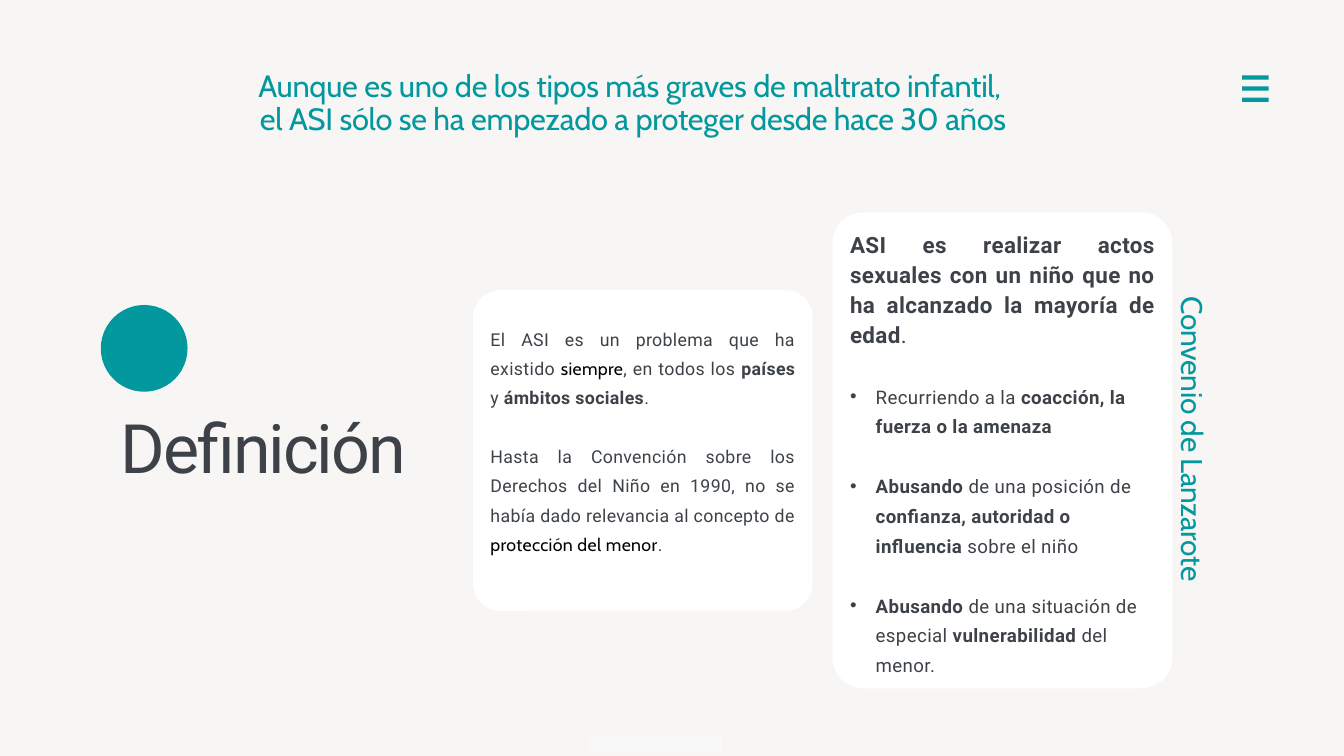
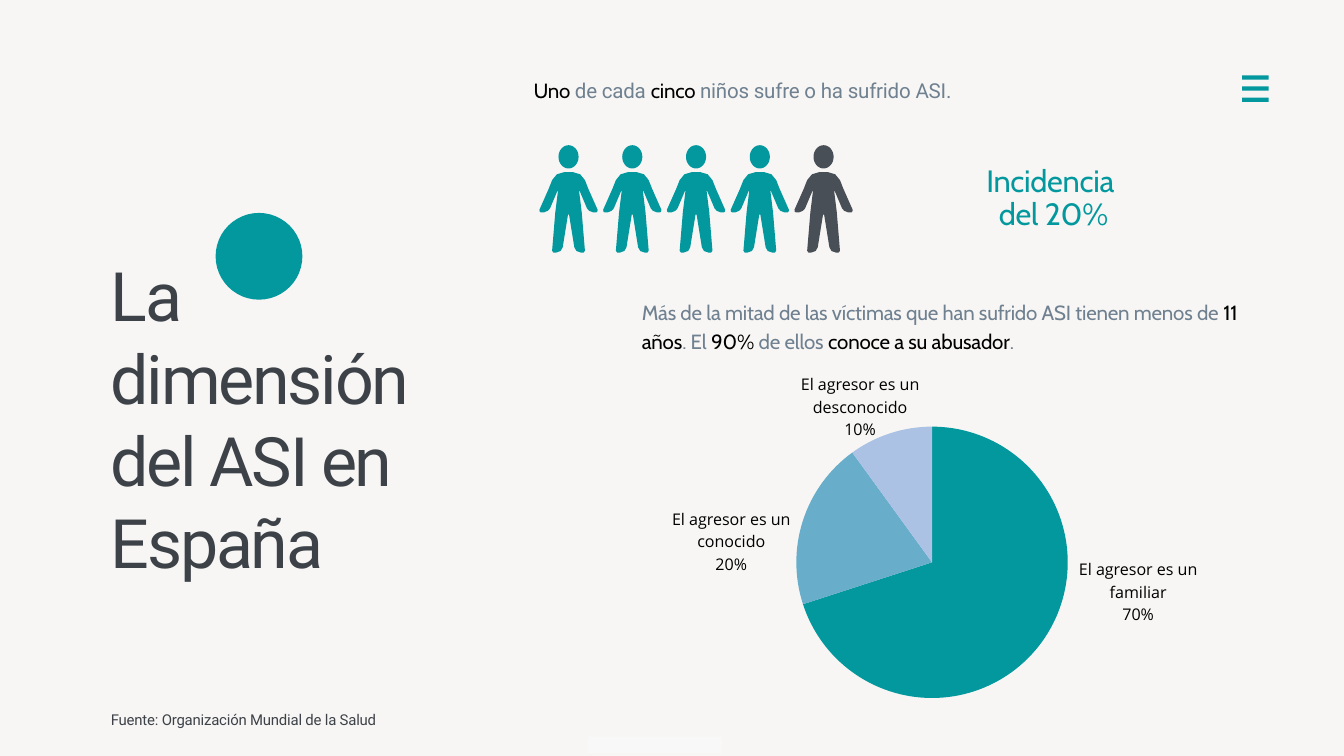
import dataclasses
import math
import typing

import lxml.etree
import pptx
import pptx.chart.data
import pptx.dml.color
import pptx.enum.chart
import pptx.enum.shapes
import pptx.enum.text
import pptx.oxml.ns
import pptx.util

Cm = pptx.util.Cm
Pt = pptx.util.Pt
qn = pptx.oxml.ns.qn
Kind = pptx.enum.shapes.MSO_SHAPE
Align = pptx.enum.text.PP_ALIGN

PAPER, WHITE, FOOT = "F7F6F4", "FFFFFF", "F8F8F8"
TEAL, BLUE, PALE = "03989E", "68ADCA", "ABC2E4"
INK, SLATE, GREY, BLACK = "3D4248", "494F56", "6F8090", "000000"
HEAD_TOP, HEAD_X, HEAD_Y = 5.49, 0.38, 0.44
PITCH = 2.41
HALF = (
    (0.17, 1.02), (0.44, 1.1), (0.62, 1.32), (0.75, 1.65), (1.1, 2.44),
    (1.09, 2.51), (1.05, 2.54), (0.93, 2.54), (0.78, 2.48), (0.7, 2.39),
    (0.42, 1.73), (0.4, 1.73), (0.5, 2.54), (0.62, 3.99), (0.57, 4.06),
    (0.47, 4.06), (0.3, 4.0), (0.22, 3.86), (0.02, 2.62),
)


@dataclasses.dataclass(frozen=True)
class Box:
    x: float
    y: float
    w: float
    h: float

    def spread(self) -> tuple:
        return Cm(self.x), Cm(self.y), Cm(self.w), Cm(self.h)


@dataclasses.dataclass(frozen=True)
class Style:
    size: float
    line: float
    face: str
    hue: str
    track: float = 0
    align: typing.Any = Align.LEFT


@dataclasses.dataclass(frozen=True)
class Bit:
    text: str
    bold: bool = False
    face: str = ""
    hue: str = ""


@dataclasses.dataclass(frozen=True)
class Para:
    bits: tuple
    style: Style
    gap: float = 0
    dot: bool = False


@dataclasses.dataclass(frozen=True)
class Slice:
    name: str
    share: int
    hue: str
    box: Box


TITLE = Style(73, 80.3, "Roboto", INK, -2.2, Align.CENTER)
TALL = Style(73, 88, "Roboto", INK, -2.4)
CALL = Style(33, 35, "Cabin", TEAL, -0.3, Align.CENTER)
SIDE = Style(32, 46.2, "Cabin", TEAL, -0.3)
STORY = Style(19, 31.4, "Roboto", INK, 0.4, Align.JUSTIFY)
LEAD = Style(24, 32, "Roboto", INK, 0.4, Align.JUSTIFY)
ITEM = Style(20, 32, "Roboto", INK, 0.4)
FACT = Style(22, 30.8, "Roboto", GREY, -0.2)
NOTE = Style(22, 30.8, "Cabin", GREY, -0.2)
SOURCE = Style(16, 30.8, "Roboto", INK, -0.2)
LABEL = Style(17.2, 24.1, "Open Sans", BLACK, 0, Align.CENTER)

SLICES = (
    Slice("El agresor es un familiar", 70, TEAL, Box(39.83, 21.03, 6.38, 1.65)),
    Slice("El agresor es un conocido", 20, BLUE, Box(24.21, 19.13, 6.86, 1.65)),
    Slice("El agresor es un desconocido", 10, PALE, Box(28.6, 14.05, 7.82, 1.65)),
)


def shade(code: str) -> pptx.dml.color.RGBColor:
    return pptx.dml.color.RGBColor.from_string(code)


def bold(text: str) -> Bit:
    return Bit(text, bold=True)


def stress(text: str) -> Bit:
    return Bit(text, face="Cabin", hue=BLACK)


def lines(style: Style, *texts: str) -> tuple:
    return tuple(Para((Bit(text),), style) for text in texts)


def tag(parent, name: str, **marks: str):
    return lxml.etree.SubElement(parent, qn(name), marks)


def paint(shape, hue: str):
    shape.shadow.inherit = False
    shape.fill.solid()
    shape.fill.fore_color.rgb = shade(hue)
    shape.line.fill.background()
    return shape


def draw(slide, kind, box: Box, hue: str):
    return paint(slide.shapes.add_shape(kind, *box.spread()), hue)


def card(slide, box: Box, bend: float) -> None:
    draw(slide, Kind.ROUNDED_RECTANGLE, box, WHITE).adjustments[0] = bend


def disc(slide, x: float, y: float) -> None:
    draw(slide, Kind.OVAL, Box(x, y, 3.28, 3.28), TEAL)


def write(shape, paras: typing.Sequence[Para]) -> None:
    frame = shape.text_frame
    frame.word_wrap = True
    frame.auto_size = pptx.enum.text.MSO_AUTO_SIZE.SHAPE_TO_FIT_TEXT
    frame.vertical_anchor = pptx.enum.text.MSO_ANCHOR.TOP
    frame.margin_left = frame.margin_right = 0
    frame.margin_top = frame.margin_bottom = 0
    for rank, para in enumerate(paras):
        spot = frame.add_paragraph() if rank else frame.paragraphs[0]
        style = para.style
        props = spot._p.get_or_add_pPr()
        dent = Cm(0.97) if para.dot else 0
        props.set("marL", str(dent))
        props.set("indent", str(-dent))
        if para.dot:
            tag(props, "a:buChar", char="•")
        else:
            tag(props, "a:buNone")
        spot.alignment = style.align
        spot.line_spacing = Pt(style.line)
        spot.space_before = Pt(para.gap)
        spot.font.size = Pt(style.size)
        spot.font.name = style.face
        spot.font.color.rgb = shade(style.hue)
        props.find(qn("a:defRPr")).set("spc", str(round(style.track * 100)))
        for bit in para.bits:
            run = spot.add_run()
            run.text = bit.text
            if bit.bold:
                run.font.bold = True
            if bit.face:
                run.font.name = bit.face
            if bit.hue:
                run.font.color.rgb = shade(bit.hue)


def place(slide, box: Box, paras: typing.Sequence[Para]):
    shape = slide.shapes.add_textbox(*box.spread())
    write(shape, paras)
    return shape


def settle(shape, box: Box, paras: typing.Sequence[Para]) -> None:
    shape.left, shape.top, shape.width, shape.height = box.spread()
    write(shape, paras)
    shape.element.getparent().append(shape.element)


def start(deck, layout: int):
    slide = deck.slides.add_slide(deck.slide_layouts[layout])
    for row in range(3):
        draw(slide, Kind.RECTANGLE, Box(46.95, 2.85 + row * 0.42, 1, 0.16), TEAL)
    draw(slide, Kind.RECTANGLE, Box(22.22, 27.84, 5.08, 0.64), FOOT)
    return slide


def crowd(slide, first: float, count: int, hue: str) -> None:
    turns = [math.tau * step / 32 for step in range(32)]
    head = [(HEAD_X * math.cos(turn), HEAD_Y + HEAD_Y * math.sin(turn)) for turn in turns]
    body = [*HALF, *((-x, y) for x, y in reversed(HALF))]
    pen = None
    for rank in range(count):
        for ring in (head, body):
            dots = [(Cm(first + rank * PITCH + x), Cm(HEAD_TOP + y)) for x, y in ring]
            if pen is None:
                pen = slide.shapes.build_freeform(*dots[0])
            else:
                pen.move_to(*dots[0])
            pen.add_line_segments(dots[1:], close=True)
    paint(pen.convert_to_shape(), hue)


def pie(slide, box: Box) -> None:
    data = pptx.chart.data.CategoryChartData()
    data.categories = [piece.name for piece in SLICES]
    data.add_series("Agresor", [piece.share for piece in SLICES])
    chart = slide.shapes.add_chart(
        pptx.enum.chart.XL_CHART_TYPE.PIE, *box.spread(), data
    ).chart
    chart.has_title = False
    chart.has_legend = False
    chart.font.name = LABEL.face
    chart.font.size = Pt(LABEL.size)
    chart.plots[0].vary_by_categories = True
    for rank, piece in enumerate(SLICES):
        look = chart.plots[0].series[0].points[rank].format
        look.fill.solid()
        look.fill.fore_color.rgb = shade(piece.hue)
        look.line.fill.background()
    root = chart._chartSpace.find(qn("c:chart"))
    clear = lxml.etree.Element(qn("c:spPr"))
    tag(clear, "a:noFill")
    tag(tag(clear, "a:ln"), "a:noFill")
    root.addnext(clear)
    plot = root.find(qn("c:plotArea"))
    for old in plot.findall(qn("c:layout")):
        plot.remove(old)
    layout = tag(plot, "c:layout")
    plot.insert(0, layout)
    grid = tag(layout, "c:manualLayout")
    for name, value in (
        ("layoutTarget", "inner"), ("xMode", "edge"), ("yMode", "edge"),
        ("x", "0"), ("y", "0"), ("w", "1"), ("h", "1"),
    ):
        tag(grid, "c:" + name, val=value)


def define(deck) -> None:
    slide = start(deck, 1)
    card(slide, Box(17.88, 10.97, 12.84, 12.12), 0.085)
    place(slide, Box(18.54, 12.12, 11.53, 8.71), (
        Para((Bit("El ASI es un problema que ha existido "), stress("siempre"),
              Bit(", en todos los "), bold("países"), Bit(" y "),
              bold("ámbitos sociales"), Bit(". ")), STORY),
        Para((Bit("Hasta la Convención sobre los Derechos del Niño en 1990, no se "
                  "había dado relevancia al concepto de "),
              stress("protección del menor"), Bit(". ")), STORY, STORY.line),
    ))
    card(slide, Box(31.47, 8.03, 12.84, 17.99), 0.09)
    side = place(slide, Box(38.94, 16.76, 12.65, 1.57), lines(SIDE, "Convenio de Lanzarote"))
    side.rotation = 90
    items = (
        (Bit("Recurriendo a la "), bold("coacción, la fuerza o la amenaza")),
        (bold("Abusando"), Bit(" de una posición de "),
         bold("confianza, autoridad o influencia "), Bit("sobre el niño")),
        (bold("Abusando"), Bit(" de una situación de especial "),
         bold("vulnerabilidad"), Bit(" del menor.")),
    )
    lead = Para((bold("ASI es realizar actos sexuales con un niño que no ha "
                      "alcanzado la mayoría de edad"), Bit(". ")), LEAD)
    settle(slide.placeholders[1], Box(32.13, 8.64, 11.53, 16.99),
           (lead, *(Para(item, ITEM, ITEM.line, True) for item in items)))
    settle(slide.shapes.title, Box(3.81, 15.6, 12.27, 2.95), lines(TITLE, "Definición"))
    disc(slide, 3.81, 11.53)
    place(slide, Box(5.08, 2.69, 37.69, 2.49), lines(
        CALL, "Aunque es uno de los tipos más graves de maltrato infantil, ",
        "el ASI sólo se ha empezado a proteger desde hace 30 años"))


def measure(deck) -> None:
    slide = start(deck, 5)
    place(slide, Box(20.17, 2.79, 24.08, 1.02), (
        Para((stress("Uno "), Bit("de cada "), stress("cinco "),
              Bit("niños sufre o ha sufrido ASI.")), FACT),
    ))
    place(slide, Box(24.26, 11.18, 22.63, 2.21), (
        Para((Bit("Más de la mitad de las víctimas que han sufrido ASI tienen menos de "),
              stress("11 años"), Bit(". El "), stress("90%"), Bit(" de ellos "),
              stress("conoce a su abusador"), Bit(".")), NOTE),
    ))
    settle(slide.shapes.title, Box(4.19, 9.58, 14.22, 12.4),
           lines(TALL, "La dimensión del ASI en España"))
    crowd(slide, 21.49, 4, TEAL)
    crowd(slide, 21.49 + 4 * PITCH, 1, SLATE)
    pie(slide, Box(30.1, 16.08, 10.26, 10.36))
    for piece in SLICES:
        place(slide, piece.box, lines(LABEL, piece.name, f"{piece.share}%"))
    disc(slide, 8.15, 8.05)
    place(slide, Box(34.72, 6.27, 10.21, 2.49), lines(CALL, "Incidencia ", "del 20%"))
    place(slide, Box(4.19, 26.44, 13.13, 0.97),
          lines(SOURCE, "Fuente: Organización Mundial de la Salud"))


def main() -> None:
    deck = pptx.Presentation()
    deck.slide_width, deck.slide_height = Cm(50.8), Cm(28.58)
    ground = deck.slide_master.background.fill
    ground.solid()
    ground.fore_color.rgb = shade(PAPER)
    define(deck)
    measure(deck)
    deck.save("out.pptx")


if __name__ == "__main__":
    main()
